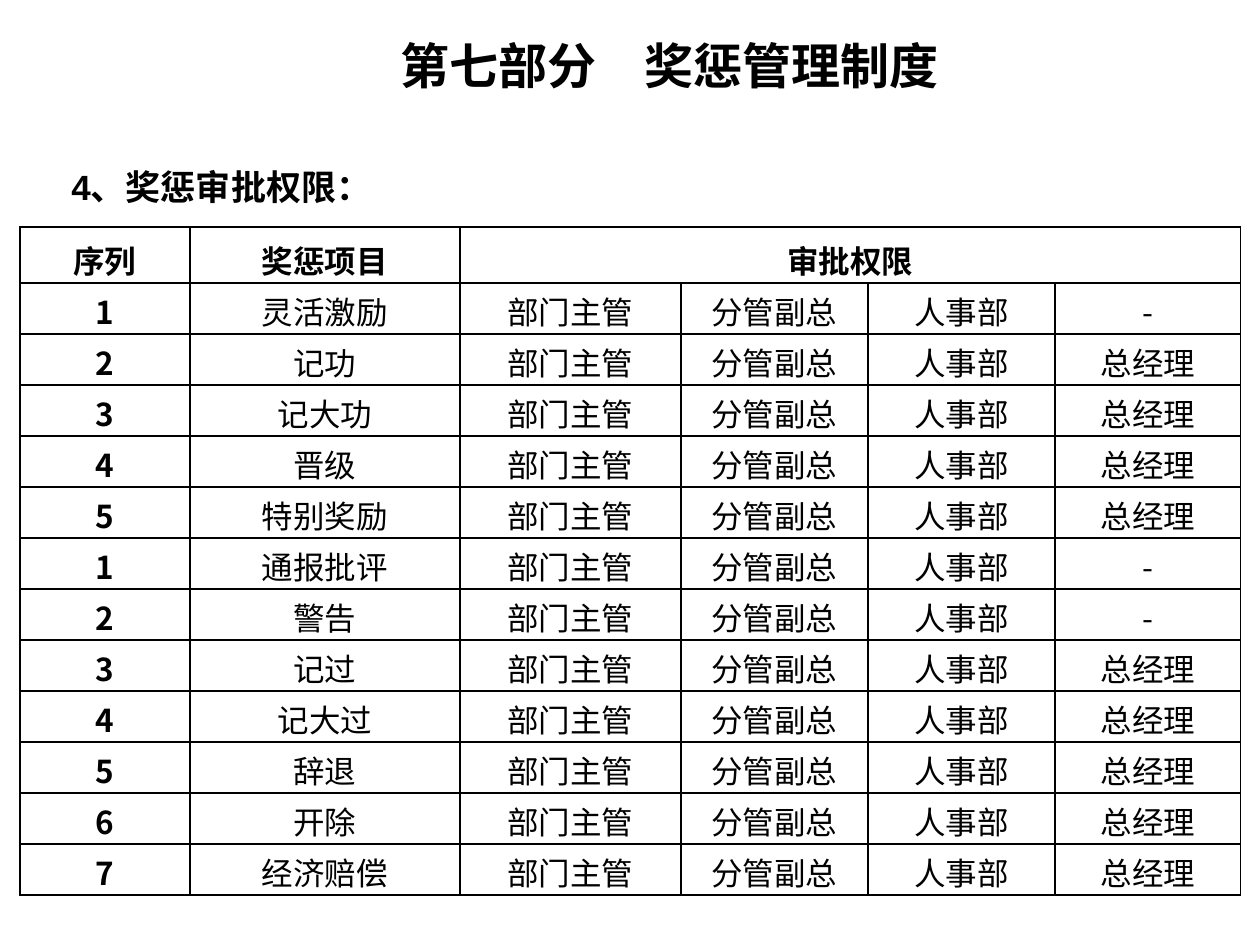
from lxml import etree
from pptx import Presentation, util as u
from pptx.dml.color import RGBColor
from pptx.enum import text
from pptx.oxml import ns

PX = 914400 // 126
BLACK = "000000"
SANS, BODY, HEAD = "Noto Sans CJK SC", "Calibri", "Arial"
COLS = [170, 270, 221, 187, 187, 186]
HEADS = ["序列", "奖惩项目", "审批权限"]
STEPS = ["部门主管", "分管副总", "人事部"]
AWARDS = ["灵活激励", "记功", "记大功", "晋级", "特别奖励"]
FINES = ["通报批评", "警告", "记过", "记大过", "辞退", "开除", "经济赔偿"]
NO_CHIEF = {"灵活激励", "通报批评", "警告"}


def px(n):
    """Turn whole pixels into EMU."""
    return u.Emu(n * PX)


def color(code):
    """Turn a hex string into a colour."""
    return RGBColor.from_string(code)


def write(frame, words, size, face, bold=True, align=text.PP_ALIGN.CENTER):
    """Fill a text frame with one styled paragraph."""
    para = frame.paragraphs[0]
    para.text = words
    para.alignment = align
    font = para.font
    font.name, font.size, font.bold = face, u.Pt(size), bold
    font.color.rgb = color(BLACK)


def place(shape, left, top, width, height):
    """Set the place of a text shape and anchor its text at the top."""
    shape.left, shape.top = px(left), px(top)
    shape.width, shape.height = px(width), px(height)
    frame = shape.text_frame
    frame.word_wrap = True
    frame.auto_size = text.MSO_AUTO_SIZE.NONE
    frame.vertical_anchor = text.MSO_ANCHOR.TOP
    return frame


def border(cell):
    """Draw thin black lines on all four sides of a cell."""
    props = cell._tc.get_or_add_tcPr()
    for spot, side in enumerate(("lnL", "lnR", "lnT", "lnB")):
        line = etree.Element(ns.qn(f"a:{side}"), w=str(u.Pt(1)))
        fill = etree.SubElement(line, ns.qn("a:solidFill"))
        etree.SubElement(fill, ns.qn("a:srgbClr"), val=BLACK)
        props.insert(spot, line)


def style(cell):
    """Give a cell its margins, anchor, empty fill and border."""
    cell.margin_left = cell.margin_right = px(9)
    cell.margin_top = cell.margin_bottom = 0
    cell.vertical_anchor = text.MSO_ANCHOR.BOTTOM
    cell.fill.background()
    border(cell)


def rows():
    """List the body rows, numbered afresh in each group."""
    return [
        [str(num), item, *STEPS, "-" if item in NO_CHIEF else "总经理"]
        for group in (AWARDS, FINES)
        for num, item in enumerate(group, 1)
    ]


def grid(slide):
    """Add the table of approval rights."""
    body = rows()
    frame = slide.shapes.add_table(
        len(body) + 1, len(COLS), px(20), px(227), px(sum(COLS)), px(56 + 51 * len(body)))
    table = frame.table
    for col, width in zip(table.columns, COLS):
        col.width = px(width)
    for num, row in enumerate(table.rows):
        row.height = px(51 if num else 56)
    for cell in table.iter_cells():
        style(cell)
    table.cell(0, 2).merge(table.cell(0, 5))
    for col, words in enumerate(HEADS):
        write(table.cell(0, col).text_frame, words, 18, BODY)
    for num, line in enumerate(body, 1):
        for col, words in enumerate(line):
            face = SANS if col == 0 or words == "-" else BODY
            write(table.cell(num, col).text_frame, words, 18, face, col == 0)


def main():
    """Build the slide and save it."""
    deck = Presentation()
    deck.slide_width, deck.slide_height = px(1260), px(945)
    slide = deck.slides.add_slide(deck.slide_layouts[5])
    title = place(slide.shapes.title, 325, 29, 689, 72)
    write(title, "第七部分　奖惩管理制度", 28, BODY)
    box = slide.shapes.add_textbox(0, 0, 0, 0)
    lead = place(box, 59, 159, 630, 97)
    write(lead, "4、奖惩审批权限：", 20, HEAD, align=text.PP_ALIGN.LEFT)
    grid(slide)
    deck.save("out.pptx")


if __name__ == "__main__":
    main()
